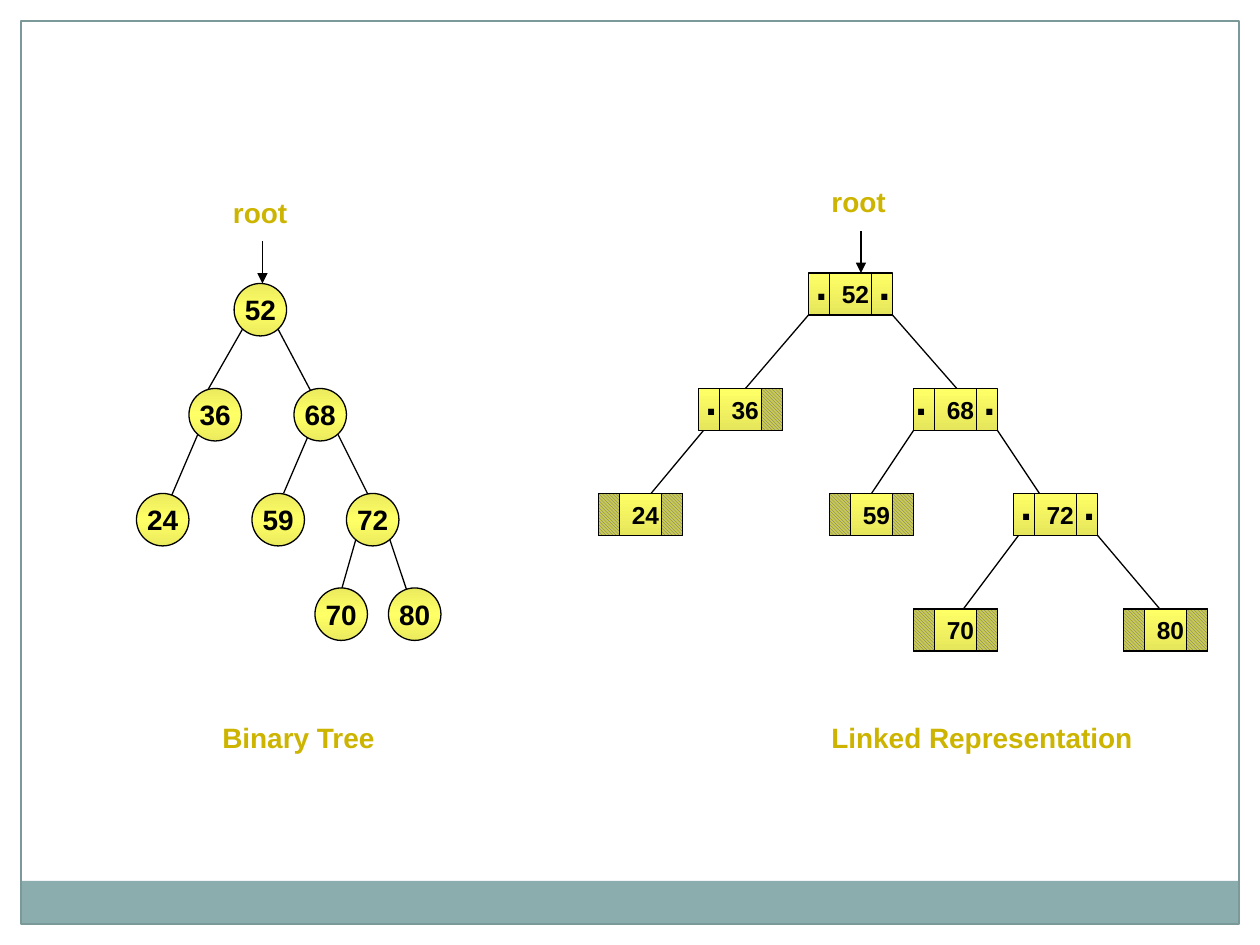
from copy import deepcopy
from typing import NamedTuple

from lxml import etree
from pptx import Presentation
from pptx import util as u
from pptx.dml.color import RGBColor
from pptx.enum import dml, shapes, text
from pptx.oxml.ns import qn

COLORS = {
    "white": "FFFFFF", "black": "000000", "band": "8CADAE", "frame": "7C999A",
    "label": "CCB400", "light": "FFFF66", "cell_edge": "E6E65C",
    "circle_edge": "EBEB5E", "null_ink": "646B86", "null_paper": "CACA51",
}
FONT = "Arial"
COLUMNS, ROWS = 120, 90  # a grid of twelfths of an inch
CIRCLE = 5
RECORD_WIDTH, RECORD_HEIGHT, POINTER_WIDTH = 8, 4, 2


class TreeNode(NamedTuple):
    key: str
    column: float
    row: float


class Record(NamedTuple):
    key: str
    column: float
    row: float
    has_left: bool = False
    has_right: bool = False
    left_dot: float = -0.5


class Link(NamedTuple):
    x1: float
    y1: float
    x2: float
    y2: float


class Label(NamedTuple):
    words: str
    column: float
    row: float
    width: float
    height: float


TREE_NODES = [
    TreeNode("52", 22.3, 27), TreeNode("36", 18, 37), TreeNode("68", 28, 37),
    TreeNode("24", 13, 47), TreeNode("59", 24, 47), TreeNode("72", 33, 47),
    TreeNode("70", 30, 56), TreeNode("80", 37, 56),
]
RECORDS = [
    Record("52", 77, 26, True, True), Record("36", 66.5, 37, True),
    Record("68", 87, 37, True, True, -1), Record("24", 57, 47),
    Record("59", 79, 47), Record("72", 96.5, 47, True, True),
    Record("70", 87, 58), Record("80", 107, 58),
]
TREE_LINKS = [
    Link(23.3, 31, 19.3, 38), Link(26.3, 31, 30, 38), Link(19, 41, 16, 48),
    Link(30, 40, 27, 47), Link(32, 41, 36, 49), Link(34, 51, 32, 58),
    Link(37, 51, 39, 57),
]
RECORD_LINKS = [
    Link(77, 30, 71, 37), Link(85, 30, 92, 38), Link(67, 41, 62, 47),
    Link(87, 41, 83, 47), Link(95, 41, 99, 47), Link(97, 51, 91, 59),
    Link(102, 48, 113, 61),
]
ROOT_ARROWS = [Link(25, 23, 25, 27), Link(82, 22, 82, 26)]
LABELS = [
    Label("Binary Tree", 20, 68, 19, 4),
    Label("Linked Representation", 78, 68, 34, 4),
    Label("root", 21, 18, 8, 4.4), Label("root", 78, 17, 8, 4.4),
]
MARGINS = [(0, 0, COLUMNS, 2), (118, 0, 2, ROWS), (0, 0, 2, ROWS)]

prs = Presentation()
prs.slide_width, prs.slide_height = u.Inches(10), u.Inches(7.5)
slide = prs.slides.add_slide(prs.slide_layouts[6])


def rgb(name: str) -> RGBColor:
    return RGBColor.from_string(COLORS[name])


def grid(*lengths: float) -> list[int]:
    return [round(length * prs.slide_width / COLUMNS) for length in lengths]


def add_outlined(kind, box: tuple, line: str | None = "black"):
    """Add a preset shape with no shadow and a thin outline, or none."""
    shape = slide.shapes.add_shape(kind, *grid(*box))
    shape.shadow.inherit = False
    if line:
        shape.line.color.rgb = rgb(line)
        shape.line.width = u.Pt(0.75)
    else:
        shape.line.fill.background()
    return shape


def add_rect(box: tuple, fill: str | None = None, line: str | None = "black"):
    rect = add_outlined(shapes.MSO_SHAPE.RECTANGLE, box, line)
    if fill:
        rect.fill.solid()
        rect.fill.fore_color.rgb = rgb(fill)
    else:
        rect.fill.background()
    return rect


def shade_downward(shape, *names: str) -> None:
    """Fill with evenly spaced colours from top to bottom."""
    shape.fill.gradient()
    shape.fill.gradient_angle = 270
    stops = shape._element.spPr.find(".//" + qn("a:gsLst"))
    while len(stops) < len(names):
        stops.append(deepcopy(stops[-1]))
    for i, (stop, name) in enumerate(zip(shape.fill.gradient_stops, names)):
        stop.position = i / (len(names) - 1)
        stop.color.rgb = rgb(name)


def add_line(link: Link, arrow: bool = False) -> None:
    line = slide.shapes.add_connector(shapes.MSO_CONNECTOR.STRAIGHT, *grid(*link))
    line.line.color.rgb = rgb("black")
    line.line.width = u.Pt(0.75)
    if arrow:
        etree.SubElement(line.line._get_or_add_ln(), qn("a:tailEnd"), type="triangle")
    etree.SubElement(line._element.spPr, qn("a:effectLst"))


def write(shape, words: str, size: int, color: str = "black", wrap: bool = False):
    frame = shape.text_frame
    frame.word_wrap = wrap
    paragraph = frame.paragraphs[0]
    paragraph.text = words
    font = paragraph.font
    font.name, font.size, font.bold = FONT, u.Pt(size), True
    font.color.rgb = rgb(color)
    return frame


def add_words(label: Label, size: int, color: str = "black", wrap: bool = False) -> None:
    write(slide.shapes.add_textbox(*grid(*label[1:])), label.words, size, color, wrap)


def draw_tree_node(node: TreeNode) -> None:
    circle = add_outlined(shapes.MSO_SHAPE.OVAL, (node.column, node.row, CIRCLE, CIRCLE))
    shade_downward(circle, "circle_edge", "light", "circle_edge")
    frame = write(circle, node.key, 16)
    frame.vertical_anchor = text.MSO_ANCHOR.MIDDLE
    frame.paragraphs[0].alignment = text.PP_ALIGN.CENTER


def draw_record(record: Record) -> None:
    """Draw a key between two pointer cells; a missing child is hatched."""
    x, y = record.column, record.row
    right = RECORD_WIDTH - POINTER_WIDTH
    body = add_rect((x, y, RECORD_WIDTH, RECORD_HEIGHT))
    shade_downward(body, "light", "cell_edge")
    pointers = [(0, record.has_left, record.left_dot), (right, record.has_right, 5.5)]
    for offset, has_child, dot in pointers:
        if has_child:
            add_words(Label(".", x + dot, y - 2, 3.5, 6), 24)
        else:
            null = add_rect((x + offset, y, POINTER_WIDTH, RECORD_HEIGHT))
            null.fill.patterned()
            null.fill.pattern = dml.MSO_PATTERN.DARK_DOWNWARD_DIAGONAL
            null.fill.fore_color.rgb = rgb("null_ink")
            null.fill.back_color.rgb = rgb("null_paper")
    for divider in (x + POINTER_WIDTH, x + right):
        add_line(Link(divider, y, divider, y + RECORD_HEIGHT))
    add_words(Label(record.key, x + POINTER_WIDTH, y, 5, RECORD_HEIGHT), 14)


for margin in MARGINS:
    add_rect(margin, "white", None)
add_rect((2, 83.9, 116, 4.1), "band", None)
add_rect((2, 2, 116, 86), line="frame")

for child_link in TREE_LINKS + RECORD_LINKS:
    add_line(child_link)
for record in RECORDS:
    draw_record(record)
for node in TREE_NODES:
    draw_tree_node(node)
for root_arrow in ROOT_ARROWS:
    add_line(root_arrow, arrow=True)
for label in LABELS:
    add_words(label, 16, "label", wrap=True)

prs.save("out.pptx")
